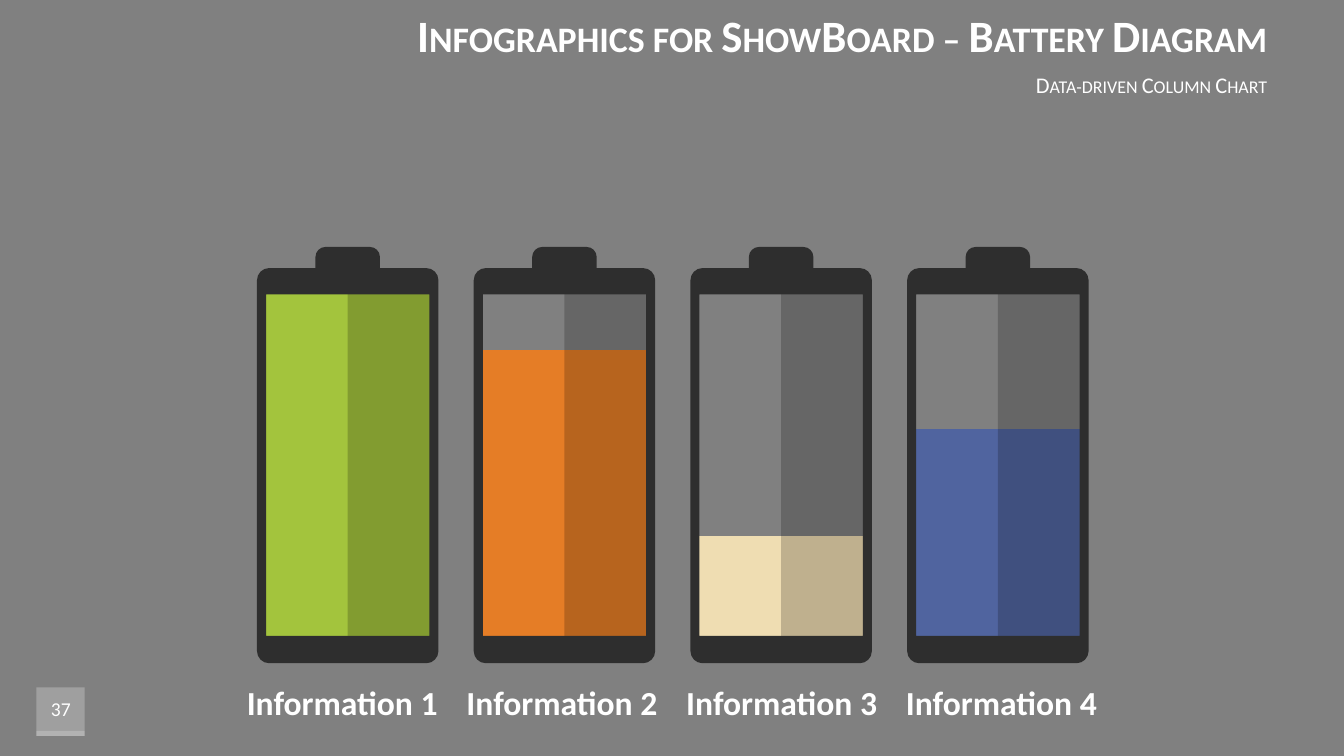
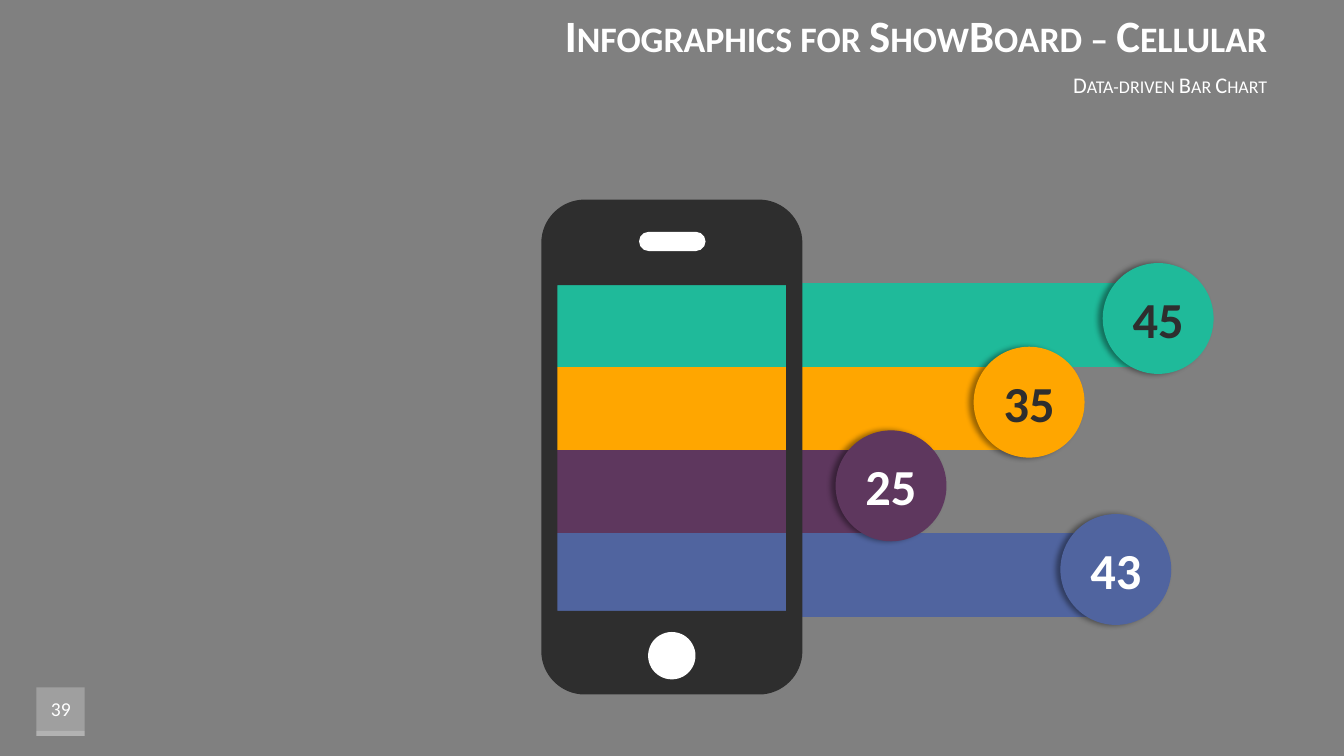
import dataclasses
import math

import pptx
import pptx.chart.data
import pptx.dml.color
import pptx.enum.chart
import pptx.enum.shapes
import pptx.enum.text
import pptx.oxml
import pptx.oxml.ns
import pptx.util

Inches = pptx.util.Inches
Pt = pptx.util.Pt
qn = pptx.oxml.ns.qn
SHAPE = pptx.enum.shapes.MSO_SHAPE
ALIGN = pptx.enum.text.PP_ALIGN
CHART = pptx.enum.chart.XL_CHART_TYPE
DRAWING_NS = pptx.oxml.ns.nsdecls("a")
ARC = 0.55  # Bezier handle length of a quarter circle


@dataclasses.dataclass(frozen=True)
class Theme:
    font: str = "Calibri"
    background: str = "808080"
    white: str = "FFFFFF"
    black: str = "000000"
    dark: str = "2E2E2E"
    lime: str = "A3C43D"
    orange: str = "E57D26"
    cream: str = "EFDDB2"
    blue: str = "50649F"
    teal: str = "1FBA9A"
    amber: str = "FFA600"
    plum: str = "5E375E"
    chart_size: int = 10
    page_size: int = 14
    subtitle_size: int = 16
    label_size: int = 24
    title_size: int = 32
    badge_size: int = 36


THEME = Theme()

# Fill colour and charge in percent, left to right
BATTERIES = [
    (THEME.lime, 100),
    (THEME.orange, 82),
    (THEME.cream, 30),
    (THEME.blue, 60),
]

# Colour, bar length, badge text, badge text colour and badge left, top to bottom
PHONE_ROWS = [
    (THEME.teal, 100, "45", THEME.dark, 10.94),
    (THEME.amber, 78, "35", THEME.dark, 9.66),
    (THEME.plum, 56, "25", THEME.white, 8.29),
    (THEME.blue, 96, "43", THEME.white, 10.52),
]

# Corners as x, y, radius, clockwise from the top left
BATTERY_CASE = [
    (0.58, 0, 0.1), (1.22, 0, 0.1), (1.22, 0.21, 0), (1.8, 0.21, 0.12),
    (1.8, 4.13, 0.12), (0, 4.13, 0.12), (0, 0.21, 0.12), (0.58, 0.21, 0),
]
BATTERY_WINDOW = (0.09, 0.47, 1.71, 3.86)
PHONE_CASE = [
    (0, 0, 0.43), (2.59, 0, 0.43), (2.59, 4.91, 0.43), (0, 4.91, 0.43),
]
PHONE_WINDOW = (0.16, 0.85, 2.43, 4.08)


def rgb(color):
    return pptx.dml.color.RGBColor.from_string(color)


def paint(sp, color, alpha=None):
    """Give a flat fill without line or shadow; alpha is opacity in percent."""
    sp.fill.solid()
    sp.fill.fore_color.rgb = rgb(color)
    sp.line.fill.background()
    sp.shadow.inherit = False
    if alpha is not None:
        clr = sp.element.spPr.find(qn("a:solidFill")).find(qn("a:srgbClr"))
        clr.append(pptx.oxml.parse_xml(
            f'<a:alpha {DRAWING_NS} val="{alpha * 1000}"/>'))


def add_block(slide, shape, box, color, alpha=None):
    sp = slide.shapes.add_shape(shape, *map(Inches, box))
    paint(sp, color, alpha)
    return sp


def cast_shadow_left(sp):
    effects = sp.element.spPr.find(qn("a:effectLst"))
    effects.append(pptx.oxml.parse_xml(
        f'<a:outerShdw {DRAWING_NS} blurRad="{Pt(4)}" '
        f'dist="{Pt(3)}" dir="10800000" algn="r" rotWithShape="0">'
        f'<a:srgbClr val="{THEME.black}"><a:alpha val="40000"/></a:srgbClr>'
        '</a:outerShdw>'))


def write(sp, text, size, color=THEME.white, align=ALIGN.CENTER, bold=False,
          small_caps=False, wrap=True):
    tf = sp.text_frame
    tf.word_wrap = wrap
    tf.vertical_anchor = pptx.enum.text.MSO_ANCHOR.MIDDLE
    tf.text = text
    p = tf.paragraphs[0]
    p.alignment = align
    font = p.runs[0].font
    font.name = THEME.font
    font.size = Pt(size)
    font.bold = bold
    font.color.rgb = rgb(color)
    if small_caps:
        sp.element.find(".//" + qn("a:rPr")).set("cap", "small")
    return p


def add_text(slide, box, text, size, **style):
    sp = slide.shapes.add_textbox(*map(Inches, box))
    return write(sp, text, size, **style)


def toward(start, end, distance):
    share = distance / math.dist(start, end)
    return tuple(a + (b - a) * share for a, b in zip(start, end))


def rounded_outline(corners):
    """Return the outline's points, and Bezier handles by index of arc end."""
    points, arcs = [], {}
    for i, (x, y, radius) in enumerate(corners):
        corner = (x, y)
        if not radius:
            points.append(corner)
            continue
        neighbours = corners[i - 1][:2], corners[(i + 1) % len(corners)][:2]
        points += [toward(corner, n, radius) for n in neighbours]
        arcs[len(points) - 1] = [
            toward(corner, n, radius * (1 - ARC)) for n in neighbours]
    return points, arcs


def add_case(slide, left, top, corners, window):
    """Draw a rounded body with a rectangular opening."""
    x1, y1, x2, y2 = window
    opening = [(x1, y1), (x1, y2), (x2, y2), (x2, y1)]
    outline, arcs = rounded_outline(corners)
    first, *rest, = [[(Inches(left + x), Inches(top + y)) for x, y in contour]
                     for contour in (opening, outline)]
    builder = slide.shapes.build_freeform(*first[0])
    builder.add_line_segments(first[1:], close=True)
    for contour in rest:
        builder.move_to(*contour[0])
        builder.add_line_segments(contour[1:], close=True)
    sp = builder.convert_to_shape()
    paint(sp, THEME.dark)
    steps = [pt.getparent() for pt in sp.element.spPr.iter(qn("a:pt"))]
    for index, handles in arcs.items():
        line = steps[len(opening) + index]
        curve = pptx.oxml.parse_xml(f"<a:cubicBezTo {DRAWING_NS}>" + "".join(
            f'<a:pt x="{Inches(x)}" y="{Inches(y)}"/>' for x, y in handles)
            + "</a:cubicBezTo>")
        curve.append(line[0])
        line.getparent().replace(line, curve)


def set_plot_area(chart, x, y, w, h):
    """Place the inner plot area, in fractions of the chart frame."""
    area = chart.element.find(".//" + qn("c:plotArea"))
    for old in area.findall(qn("c:layout")):
        area.remove(old)
    area.insert(0, pptx.oxml.parse_xml(
        f'<c:layout {pptx.oxml.ns.nsdecls("c")}><c:manualLayout>'
        '<c:layoutTarget val="inner"/><c:xMode val="edge"/><c:yMode val="edge"/>'
        f'<c:x val="{x}"/><c:y val="{y}"/><c:w val="{w}"/><c:h val="{h}"/>'
        '</c:manualLayout></c:layout>'))


def add_bars(slide, kind, box, bars, maximum, gap, overlap, plot_area):
    """Add a bare bar or column chart; bars are (colour, value) pairs."""
    data = pptx.chart.data.CategoryChartData()
    data.categories = [str(i + 1) for i in range(len(bars))]
    data.add_series("Series 1", [value for _, value in bars])
    chart = slide.shapes.add_chart(kind, *map(Inches, box), data).chart
    chart.has_legend = False
    chart.has_title = False
    chart.font.name = THEME.font
    chart.font.size = Pt(THEME.chart_size)
    chart.font.color.rgb = rgb(THEME.black)
    axis = chart.value_axis
    axis.minimum_scale, axis.maximum_scale = 0, maximum
    axis.has_major_gridlines = False
    axis.visible = chart.category_axis.visible = False
    plot = chart.plots[0]
    plot.vary_by_categories = False
    plot.gap_width, plot.overlap = gap, overlap
    for i, (color, _) in enumerate(bars):
        fill = plot.series[0].points[i].format.fill
        fill.solid()
        fill.fore_color.rgb = rgb(color)
    set_plot_area(chart, *plot_area)


def add_page(prs, title, subtitle, number):
    """Add a slide with its heading and page badge."""
    slide = prs.slides.add_slide(prs.slide_layouts[6])
    add_block(slide, SHAPE.RECTANGLE, (0.36, 6.82, 0.48, 0.48), THEME.white, 25)
    add_block(slide, SHAPE.RECTANGLE, (0.36, 7.25, 0.48, 0.05), THEME.white, 20)
    add_text(slide, (0.29, 6.82, 0.63, 0.43), number, THEME.page_size)
    add_text(slide, (2.26, 0, 10.41, 0.68), title, THEME.title_size,
             align=ALIGN.RIGHT, bold=True, small_caps=True)
    p = add_text(slide, (2.26, 0.68, 10.41, 0.31), subtitle,
                 THEME.subtitle_size, align=ALIGN.RIGHT, small_caps=True)
    p.space_before = Pt(3)
    return slide


def add_battery_slide(prs):
    slide = add_page(prs, "Infographics for ShowBoard – Battery Diagram",
                     "Data-driven Column Chart", "37")
    add_bars(slide, CHART.COLUMN_CLUSTERED, (2.22, 1.55, 8.89, 5.04), BATTERIES,
             maximum=100, gap=28, overlap=-27,
             plot_area=(0.017, 0.256, 0.966, 0.703))
    for i in range(len(BATTERIES)):
        left = 2.55 + 2.15 * i
        add_block(slide, SHAPE.RECTANGLE, (left + 0.9, 2.72, 0.84, 3.74),
                  THEME.black, 20)
        add_case(slide, left, 2.45, BATTERY_CASE, BATTERY_WINDOW)
        add_text(slide, (2.34 + 2.18 * i, 6.72, 2.11, 0.5),
                 f"Information {i + 1}", THEME.label_size, bold=True, wrap=False)


def add_phone_slide(prs):
    slide = add_page(prs, "Infographics for ShowBoard – Cellular",
                     "Data-driven Bar Chart", "39")
    bars = [(color, value) for color, value, *_ in reversed(PHONE_ROWS)]
    add_bars(slide, CHART.BAR_STACKED, (5.49, 2.81, 6.56, 3.31), bars,
             maximum=110, gap=0, overlap=100, plot_area=(0, 0, 1, 1))
    add_case(slide, 5.37, 1.98, PHONE_CASE, PHONE_WINDOW)
    add_block(slide, SHAPE.OVAL, (6.43, 6.27, 0.47, 0.47), THEME.white)
    speaker = add_block(slide, SHAPE.ROUNDED_RECTANGLE,
                        (6.34, 2.3, 0.66, 0.19), THEME.white)
    speaker.adjustments[0] = 0.5
    for i, (color, _, text, text_color, left) in enumerate(PHONE_ROWS):
        badge = add_block(slide, SHAPE.OVAL, (left, 2.61 + 0.83 * i, 1.1, 1.1),
                          color)
        cast_shadow_left(badge)
        write(badge, text, THEME.badge_size, color=text_color, bold=True)


def main():
    prs = pptx.Presentation()
    prs.slide_width, prs.slide_height = Inches(40 / 3), Inches(7.5)
    fill = prs.slide_master.background.fill
    fill.solid()
    fill.fore_color.rgb = rgb(THEME.background)
    add_battery_slide(prs)
    add_phone_slide(prs)
    prs.save("out.pptx")


if __name__ == "__main__":
    main()
